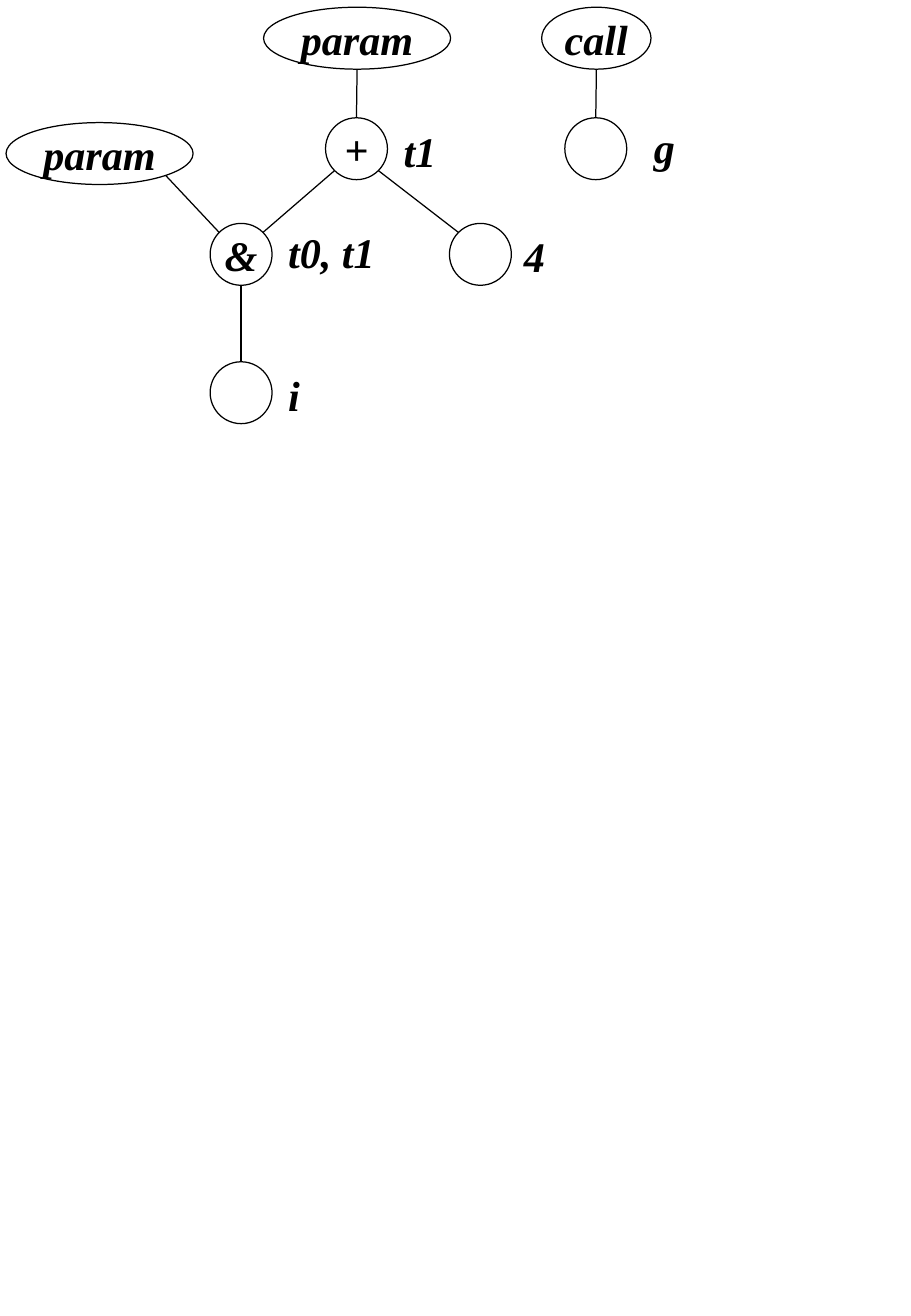
from math import sqrt

from lxml import etree
from pptx import Presentation
from pptx.dml.color import RGBColor
from pptx.enum.shapes import MSO_CONNECTOR, MSO_SHAPE
from pptx.enum.text import MSO_ANCHOR, PP_ALIGN
from pptx.oxml.ns import qn
from pptx.util import Inches, Pt

OVAL, ROUND = MSO_SHAPE.OVAL, MSO_SHAPE.ROUNDED_RECTANGLE
STRAIGHT = MSO_CONNECTOR.STRAIGHT
MIDDLE = MSO_ANCHOR.MIDDLE
LEFT, CENTER = PP_ALIGN.LEFT, PP_ALIGN.CENTER
BLACK = RGBColor(0, 0, 0)
FONT, SIZE, LINE = "Times New Roman", Pt(25), Pt(0.75)
HIGH = 0.51  # height of every node
TALL = 0.47  # height of every label

# Nodes: left, top, width, text
NODES = {
    "call": (4.46, 0.06, 0.9, "call"),
    "g": (4.65, 0.97, HIGH, ""),
    "i": (1.73, 2.98, HIGH, ""),
    "and": (1.73, 1.84, HIGH, "&"),
    "left": (0.05, 1.01, 1.54, "param"),
    "top": (2.17, 0.06, 1.54, "param"),
    "four": (3.7, 1.84, HIGH, ""),
    "plus": (2.68, 0.97, HIGH, "+"),
}

# Labels: left, top, width, text
LABELS = [
    (5.25, 0.97, 0.55, "g"),
    (2.24, 3.02, 1.06, "i"),
    (2.24, 1.84, 1.06, "t0, t1"),
    (4.18, 1.87, 1.06, "4"),
    (3.19, 1.01, 1.06, "t1"),
]

# Edges: parent, child
EDGES = [("call", "g"), ("and", "i"), ("left", "and"),
         ("top", "plus"), ("plus", "four"), ("plus", "and")]


def add_part(slide, kind, box, text, align, inset):
    part = slide.shapes.add_shape(kind, *map(Inches, box))
    part.shadow.inherit = False
    part.fill.background()
    frame = part.text_frame
    frame.word_wrap = False
    frame.vertical_anchor = MIDDLE
    frame.margin_left = frame.margin_right = Inches(inset)
    frame.margin_top = frame.margin_bottom = Inches(0.05)
    frame.text = text
    para = frame.paragraphs[0]
    para.alignment = align
    for run in para.runs:
        font = run.font
        font.name, font.size = FONT, SIZE
        font.bold = font.italic = True
        font.color.rgb = BLACK
    return part


def set_line(line):
    line.color.rgb = BLACK
    line.width = LINE


def find_end(name, side, down):
    """Point on a node's rim: side -1, 0, 1 and down -1 or 1."""
    left, top, width, _ = NODES[name]
    reach = 1 / sqrt(2) if side else 1
    return (left + width / 2 * (1 + side * reach),
            top + HIGH / 2 * (1 + down * reach))


def add_edge(slide, parent, child):
    mid = [NODES[name][0] + NODES[name][2] / 2 for name in (parent, child)]
    gap = mid[1] - mid[0]
    side = 0 if abs(gap) < 0.05 else (1 if gap > 0 else -1)
    ends = find_end(parent, side, 1) + find_end(child, -side, -1)
    edge = slide.shapes.add_connector(STRAIGHT, *map(Inches, ends))
    set_line(edge.line)
    etree.SubElement(edge.element.spPr, qn("a:effectLst"))


def main():
    deck = Presentation()
    deck.slide_width, deck.slide_height = Inches(7.5), Inches(10.84)
    slide = deck.slides.add_slide(deck.slide_layouts[6])

    # Edges lie behind the nodes
    for parent, child in EDGES:
        add_edge(slide, parent, child)

    # Nodes
    for left, top, width, text in NODES.values():
        node = add_part(slide, OVAL, (left, top, width, HIGH), text, CENTER, 0.1)
        set_line(node.line)

    # Labels
    for left, top, width, text in LABELS:
        label = add_part(slide, ROUND, (left, top, width, TALL), text, LEFT, 0.11)
        label.line.fill.background()

    deck.save("out.pptx")


if __name__ == "__main__":
    main()
